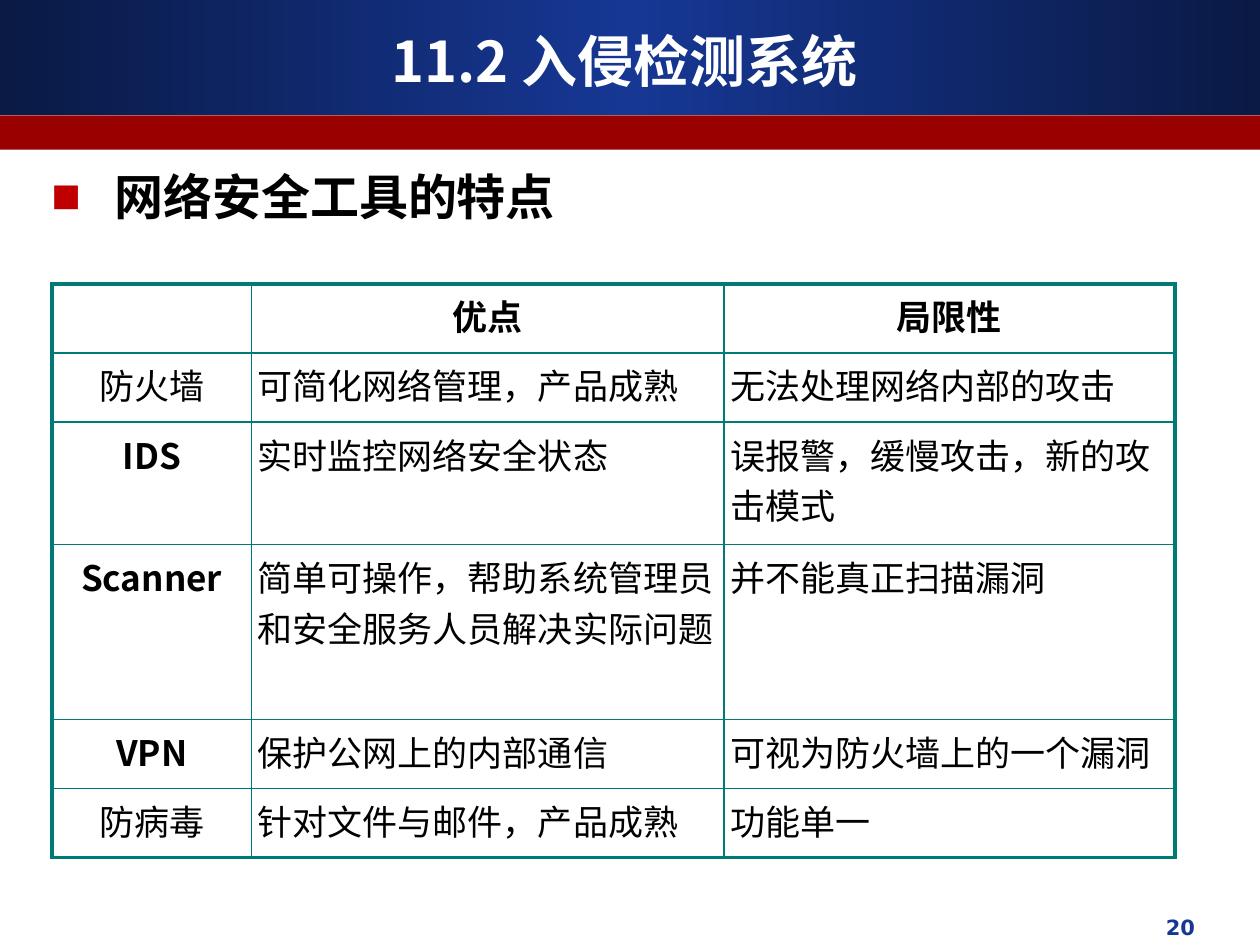
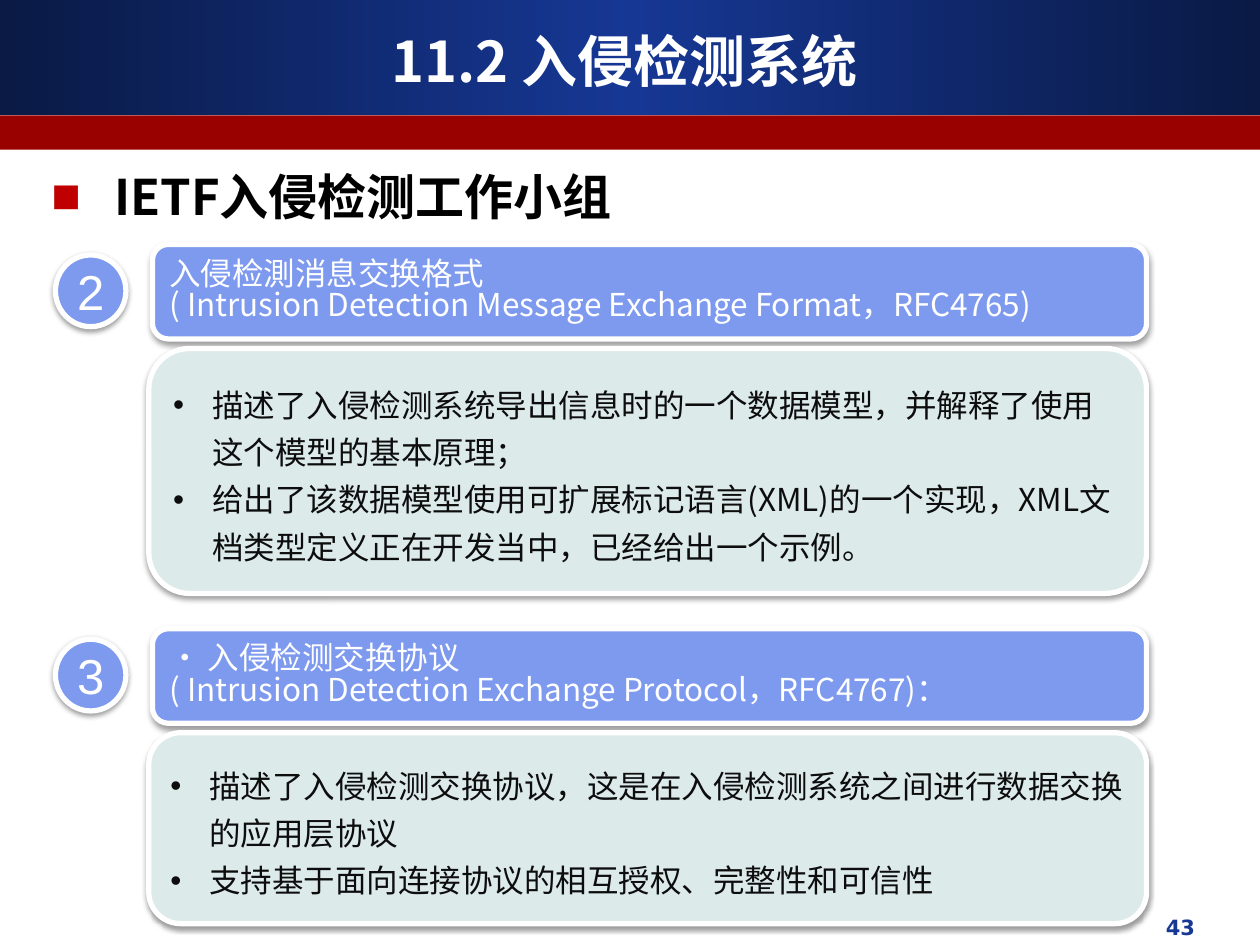
import pptx
import pptx.dml.color
import pptx.enum.shapes
import pptx.enum.text
import pptx.oxml
import pptx.oxml.ns
import pptx.util
from lxml import etree

Pt = pptx.util.Pt
RGB = pptx.dml.color.RGBColor
SHAPE = pptx.enum.shapes.MSO_SHAPE
ALIGN = pptx.enum.text.PP_ALIGN
ANCHOR = pptx.enum.text.MSO_ANCHOR
qn = pptx.oxml.ns.qn

WHITE = RGB(0xFF, 0xFF, 0xFF)
BLACK = RGB(0, 0, 0)
INK = RGB(0x0D, 0x0D, 0x0D)
NAVY = RGB(0x0A, 0x1A, 0x45)
BLUE = RGB(0x16, 0x37, 0x94)
DARK_RED = RGB(0x99, 0, 0)
BULLET_RED = RGB(0xC0, 0, 0)
TEAL = RGB(0, 0x7A, 0x77)
PERIWINKLE = RGB(0x7E, 0x9A, 0xEE)
MIST = RGB(0xDD, 0xEA, 0xEA)

CJK = "Noto Sans CJK SC"
WIDTH, HEIGHT = 720, 540
TITLE = "11.2 入侵检测系统"

TOOLS = [
    ("", "优点", "局限性"),
    ("防火墙", "可简化网络管理，产品成熟", "无法处理网络内部的攻击"),
    ("IDS", "实时监控网络安全状态", "误报警，缓慢攻击，新的攻击模式"),
    ("Scanner", "简单可操作，帮助系统管理员和安全服务人员解决实际问题",
     "并不能真正扫描漏洞"),
    ("VPN", "保护公网上的内部通信", "可视为防火墙上的一个漏洞"),
    ("防病毒", "针对文件与邮件，产品成熟", "功能单一"),
]
TOOL_COLS = (113.8, 270, 257.8)
TOOL_ROWS = (39.5, 39.5, 70, 100, 39.5, 39.5)

TOPICS = [
    ((31.7, 139.7, 623.5, 199.4), "2",
     ["入侵检測消息交换格式",
      "( Intrusion Detection Message Exchange Format，RFC4765)"],
     ["描述了入侵检测系统导出信息时的一个数据模型，并解释了使用这个模型的基本原理；",
      "给出了该数据模型使用可扩展标记语言(XML)的一个实现，XML文档类型定义正在开发当中，"
      "已经给出一个示例。"]),
    ((31.7, 359.3, 623.5, 168.5), "3",
     ["• 入侵检测交换协议",
      "( Intrusion Detection Exchange Protocol，RFC4767)："],
     ["描述了入侵检测交换协议，这是在入侵检测系统之间进行数据交换的应用层协议",
      "支持基于面向连接协议的相互授权、完整性和可信性"]),
]


# Text helpers
def add_run(p, text, size, color, bold=False, font=CJK):
    r = p.add_run()
    r.text = text
    r.font.size, r.font.bold, r.font.name = Pt(size), bold, font
    r.font.color.rgb = color
    ea = etree.SubElement(r.font._element, qn("a:ea"))
    ea.set("typeface", font)


def add_bullet(p, char, indent, color=None):
    pPr = p._p.get_or_add_pPr()
    pPr.set("marL", str(Pt(indent)))
    pPr.set("indent", str(-Pt(indent)))
    if color is not None:
        clr = etree.SubElement(pPr, qn("a:buClr"))
        etree.SubElement(clr, qn("a:srgbClr")).set("val", str(color))
    etree.SubElement(pPr, qn("a:buFont")).set("typeface", "Arial")
    etree.SubElement(pPr, qn("a:buChar")).set("char", char)


def write_lines(tf, lines, size, color, align=ALIGN.LEFT, spacing=None,
                bullet=None, indent=0, bullet_color=None, bold=False, font=CJK):
    tf.word_wrap = True
    for i, line in enumerate(lines):
        p = tf.add_paragraph() if i else tf.paragraphs[0]
        p.alignment = align
        if spacing:
            p.line_spacing = spacing
        if bullet:
            add_bullet(p, bullet, indent, bullet_color)
        add_run(p, line, size, color, bold, font)


def add_text(slide, box, text, size, color, anchor=ANCHOR.TOP, **style):
    tf = slide.shapes.add_textbox(*map(Pt, box)).text_frame
    tf.vertical_anchor = anchor
    write_lines(tf, [text], size, color, **style)


# Shape helpers
def add_box(slide, kind, box, fill=None):
    sp = slide.shapes.add_shape(kind, *map(Pt, box))
    sp.shadow.inherit = False
    sp.line.fill.background()
    if fill is not None:
        sp.fill.solid()
        sp.fill.fore_color.rgb = fill
    return sp


def add_raised(slide, kind, box, fill):
    """White outline and a soft shadow below."""
    sp = add_box(slide, kind, box, fill)
    sp.line.color.rgb = WHITE
    sp.line.width = Pt(3)
    effects = sp._element.spPr.find(qn("a:effectLst"))
    shadow = etree.SubElement(effects, qn("a:outerShdw"), blurRad=str(Pt(3.1)),
                              dist=str(Pt(1.6)), dir="5400000", rotWithShape="0")
    clr = etree.SubElement(shadow, qn("a:srgbClr"), val="000000")
    etree.SubElement(clr, qn("a:alpha"), val="38000")
    sp.text_frame.vertical_anchor = ANCHOR.MIDDLE
    return sp


# Parts shared by all slides
def add_frame(prs, heading, number):
    slide = prs.slides.add_slide(prs.slide_layouts[6])
    band = add_box(slide, SHAPE.RECTANGLE, (0, 0, WIDTH, 65.7))
    band.fill.gradient()
    band.fill.gradient_angle = 0
    gs_list = band._element.spPr.find(qn("a:gradFill")).find(qn("a:gsLst"))
    for gs in list(gs_list):
        gs_list.remove(gs)
    for pos, color in ((0, NAVY), (50000, BLUE), (100000, NAVY)):
        gs = etree.SubElement(gs_list, qn("a:gs"), pos=str(pos))
        etree.SubElement(gs, qn("a:srgbClr"), val=str(color))
    add_box(slide, SHAPE.RECTANGLE, (0, 66, WIDTH, 19.5), DARK_RED)

    add_text(slide, (24, 12.2, 666, 44.6), TITLE, 32, WHITE,
             anchor=ANCHOR.MIDDLE, align=ALIGN.CENTER, bold=True)
    add_text(slide, (462, 519, 228, 25), number, 12, BLUE,
             align=ALIGN.RIGHT, bold=True, font="DejaVu Sans")
    add_text(slide, (22.3, 91.4, 649.4, 41), heading, 28, BLACK, bold=True,
             bullet="■", indent=36, bullet_color=BULLET_RED)
    return slide


# Table of tools
def set_borders(cell, widths):
    tcPr = cell._tc.get_or_add_tcPr()
    for side, width in zip("LRTB", widths):
        ln = etree.SubElement(tcPr, qn("a:ln" + side), w=str(Pt(width)))
        fill = etree.SubElement(ln, qn("a:solidFill"))
        etree.SubElement(fill, qn("a:srgbClr"), val=str(TEAL))


def add_tools_table(slide, box):
    n_rows, n_cols = len(TOOL_ROWS), len(TOOL_COLS)
    table = slide.shapes.add_table(n_rows, n_cols, *map(Pt, box)).table
    table.first_row = table.horz_banding = False
    for col, width in zip(table.columns, TOOL_COLS):
        col.width = Pt(width)
    for i, (row, height) in enumerate(zip(table.rows, TOOL_ROWS)):
        row.height = Pt(height)
        for j, cell in enumerate(row.cells):
            on_edge = (j == 0, j == n_cols - 1, i == 0, i == n_rows - 1)
            set_borders(cell, [2.25 if edge else 1 for edge in on_edge])
            cell.fill.background()
            cell.margin_left = cell.margin_right = Pt(3.6)
            cell.margin_top = cell.margin_bottom = Pt(3.6)
            text = TOOLS[i][j]
            if text:
                centred = i == 0 or j == 0
                write_lines(cell.text_frame, [text], 20, BLACK,
                            align=ALIGN.CENTER if centred else ALIGN.LEFT,
                            bold=i == 0 or text.isascii())


# Numbered topic: badge, heading bar and panel of points
def add_topic(slide, box, number, heading, points):
    x, y, w, h = box
    panel_x, panel_y = 53.3, 59.4
    bar = add_raised(slide, SHAPE.ROUNDED_RECTANGLE,
                     (x + 55.4, y, w - 55.4, 54), PERIWINKLE)
    write_lines(bar.text_frame, heading, 18, WHITE, spacing=0.83)

    badge = add_raised(slide, SHAPE.OVAL, (x, y + 6, 40.3, 41), PERIWINKLE)
    tf = badge.text_frame
    tf.margin_left = tf.margin_right = tf.margin_top = tf.margin_bottom = 0
    write_lines(tf, [number], 28, WHITE, align=ALIGN.CENTER, font="Arial")

    panel = add_raised(slide, SHAPE.ROUNDED_RECTANGLE,
                       (x + panel_x, y + panel_y, w - panel_x, h - panel_y), MIST)
    write_lines(panel.text_frame, points, 18, INK, spacing=1.25,
                bullet="•", indent=22.3)


def main():
    prs = pptx.Presentation()
    prs.slide_width, prs.slide_height = Pt(WIDTH), Pt(HEIGHT)

    slide = add_frame(prs, "网络安全工具的特点", "20")
    add_tools_table(slide, (29.8, 162.2, sum(TOOL_COLS), sum(TOOL_ROWS)))

    slide = add_frame(prs, "IETF入侵检测工作小组", "43")
    for topic in TOPICS:
        add_topic(slide, *topic)

    prs.save("out.pptx")


if __name__ == "__main__":
    main()
